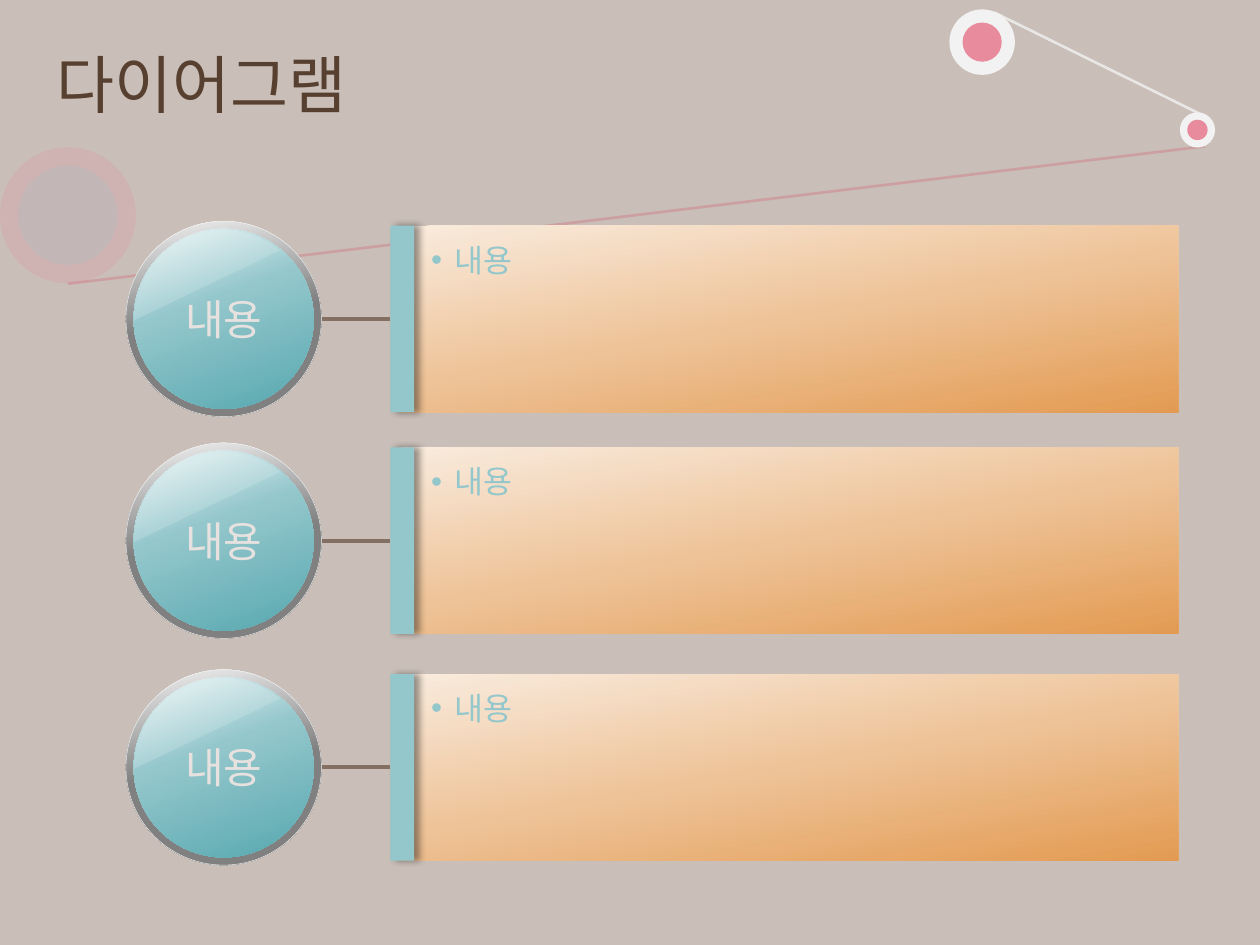
import pptx
import pptx.util
import pptx.dml.color
import pptx.enum.shapes
import pptx.enum.text
import pptx.oxml
import pptx.oxml.ns
from lxml import etree

Cm = pptx.util.Cm
Pt = pptx.util.Pt
KIND = pptx.enum.shapes.MSO_SHAPE
ALIGN = pptx.enum.text.PP_ALIGN
ANCHOR = pptx.enum.text.MSO_ANCHOR
qn = pptx.oxml.ns.qn


def paint(hue):
    return pptx.dml.color.RGBColor.from_string(hue)


def fade(fill, alpha):
    if alpha < 100:
        tint = fill.find(".//" + qn("a:srgbClr"))
        etree.SubElement(tint, qn("a:alpha"), val=str(alpha * 1000))


class Deck:
    ink = "57402F"
    pale = "E7E2DF"
    teal = "94C7CC"
    pink = "E88B9D"
    white = "F2F2F2"
    rod = "847062"
    back = "C9BEB8"
    rim = [(0, "F2F2F2"), (50, "808080"), (100, "808080")]
    glass = [(0, "F4F9FA"), (40, "94C7CC"), (100, "58A8B0")]
    sand = [(0, "F9EBDD"), (50, "EEC398"), (100, "E39B53")]

    def __init__(self, slide):
        self.slide = slide
        slide.background.fill.solid()
        slide.background.fill.fore_color.rgb = paint(self.back)

    def label(self, para, text, size, face, hue):
        para.text = text
        para.font.size = Pt(size)
        para.font.name = face
        para.font.color.rgb = paint(hue)

    def title(self, text):
        box = self.slide.shapes.title
        box.left, box.top, box.width, box.height = Cm(0.89), Cm(0.36), Cm(23.55), Cm(2.62)
        box.text_frame.vertical_anchor = ANCHOR.MIDDLE
        para = box.text_frame.paragraphs[0]
        para.alignment = ALIGN.LEFT
        self.label(para, text, 36, "Arial", self.ink)

    def shape(self, kind, x, y, w, h, fill, alpha=100, angle=0):
        item = self.slide.shapes.add_shape(kind, Cm(x), Cm(y), Cm(w), Cm(h))
        item.shadow.inherit = False
        item.line.fill.background()
        if isinstance(fill, str):
            item.fill.solid()
            item.fill.fore_color.rgb = paint(fill)
            fade(item._element.spPr, alpha)
        else:
            self.blend(item, fill, angle)
        return item

    def blend(self, item, stops, angle):
        marks = "".join(
            f'<a:gs pos="{pos * 1000}"><a:srgbClr val="{hue}"/></a:gs>' for pos, hue in stops)
        grad = pptx.oxml.parse_xml(
            f'<a:gradFill {pptx.oxml.ns.nsdecls("a")} rotWithShape="1"><a:gsLst>{marks}</a:gsLst>'
            f'<a:lin ang="{angle * 60000}" scaled="0"/></a:gradFill>')
        item._element.spPr.find(qn("a:prstGeom")).addnext(grad)

    def disc(self, x, y, size, fill, alpha=100, angle=0, kind=KIND.OVAL):
        return self.shape(kind, x - size / 2, y - size / 2, size, size, fill, alpha, angle)

    def line(self, start, end, hue, width, alpha=100):
        item = self.slide.shapes.add_connector(
            pptx.enum.shapes.MSO_CONNECTOR.STRAIGHT, *map(Cm, start + end))
        item.line.color.rgb = paint(hue)
        item.line.width = Pt(width)
        fade(item._element.spPr, alpha)
        etree.SubElement(item._element.spPr, qn("a:effectLst"))
        return item

    def ball(self, x, y, text):
        ring = self.disc(x, y, 3.94, self.rim, angle=80)
        ring.line.color.rgb = paint(self.white)
        ring.line.width = Pt(0.25)
        self.disc(x, y, 3.63, self.glass, angle=70)
        shine = self.disc(x, y + 0.03, 3.63, "EAF4F5", 20, kind=KIND.CHORD)
        shine.rotation = 90
        shine.adjustments[0] = 53.95
        shine.adjustments[1] = 131.3
        box = self.slide.shapes.add_textbox(Cm(x - 1.09), Cm(y - 0.64), Cm(2.18), Cm(1.27))
        frame = box.text_frame
        frame.word_wrap = False
        frame.auto_size = pptx.enum.text.MSO_AUTO_SIZE.SHAPE_TO_FIT_TEXT
        frame.vertical_anchor = ANCHOR.MIDDLE
        frame.paragraphs[0].alignment = ALIGN.CENTER
        self.label(frame.paragraphs[0], text, 24, "Lato", self.pale)

    def card(self, y, text):
        high = 3.76
        top = y - high / 2
        panel = self.shape(KIND.RECTANGLE, 8.08, top, 15.67, high, self.sand, angle=80)
        frame = panel.text_frame
        frame.word_wrap = True
        frame.vertical_anchor = ANCHOR.TOP
        frame.margin_left, frame.margin_top = Cm(0.61), Cm(0.3)
        para = frame.paragraphs[0]
        para.alignment = ALIGN.LEFT
        props = para._p.get_or_add_pPr()
        props.set("marL", str(Cm(0.48)))
        props.set("indent", str(-Cm(0.48)))
        etree.SubElement(props, qn("a:buFont"), typeface="Arial")
        etree.SubElement(props, qn("a:buChar"), char="•")
        self.label(para, text, 18, "Lato", self.teal)
        bar = self.shape(KIND.RECTANGLE, 7.87, top, 0.48, high, self.teal)
        self.shade(bar)
        return bar

    def shade(self, item):
        glow = etree.SubElement(
            item._element.spPr.find(qn("a:effectLst")), qn("a:outerShdw"),
            blurRad=str(Pt(4)), dist=str(Pt(3)), dir="0", algn="l", rotWithShape="0")
        etree.SubElement(glow, qn("a:srgbClr"), val="000000")
        fade(glow, 40)

    def decor(self):
        self.disc(1.37, 4.34, 2.74, self.pink, 22)
        self.disc(1.37, 4.34, 2, self.teal, 22)
        self.line((1.37, 5.72), (24.28, 2.95), "D83D5C", 1.5, 23)
        for x, y, outer, inner in [(19.8, 0.85, 1.32, 0.79), (24.14, 2.62, 0.71, 0.41)]:
            self.disc(x, y, outer, self.white)
            self.disc(x, y, inner, self.pink)
        self.line((20.04, 0.25), (24.28, 2.34), self.white, 1.5, 80)


def main():
    show = pptx.Presentation()
    show.slide_width, show.slide_height = Cm(25.4), Cm(19.05)
    deck = Deck(show.slides.add_slide(show.slide_layouts[5]))
    deck.decor()
    deck.title("다이어그램")
    for y in (6.43, 10.9, 15.47):
        deck.ball(4.51, y, "내용")
        bar = deck.card(y, "내용")
        rod = deck.line((6.5, y), (7.87, y), deck.rod, 2.25)
        rod.end_connect(bar, 1)
    show.save("out.pptx")


if __name__ == "__main__":
    main()
